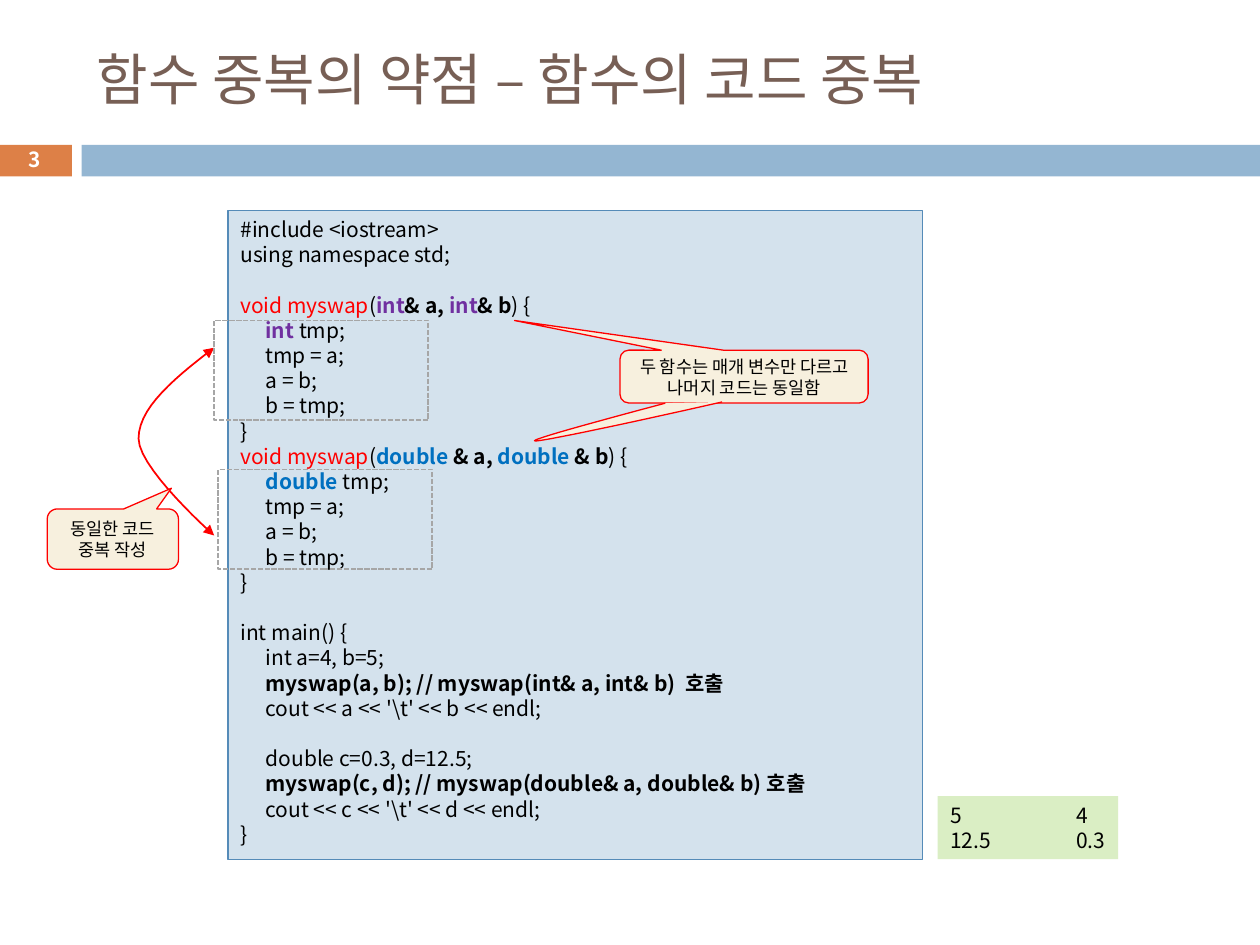
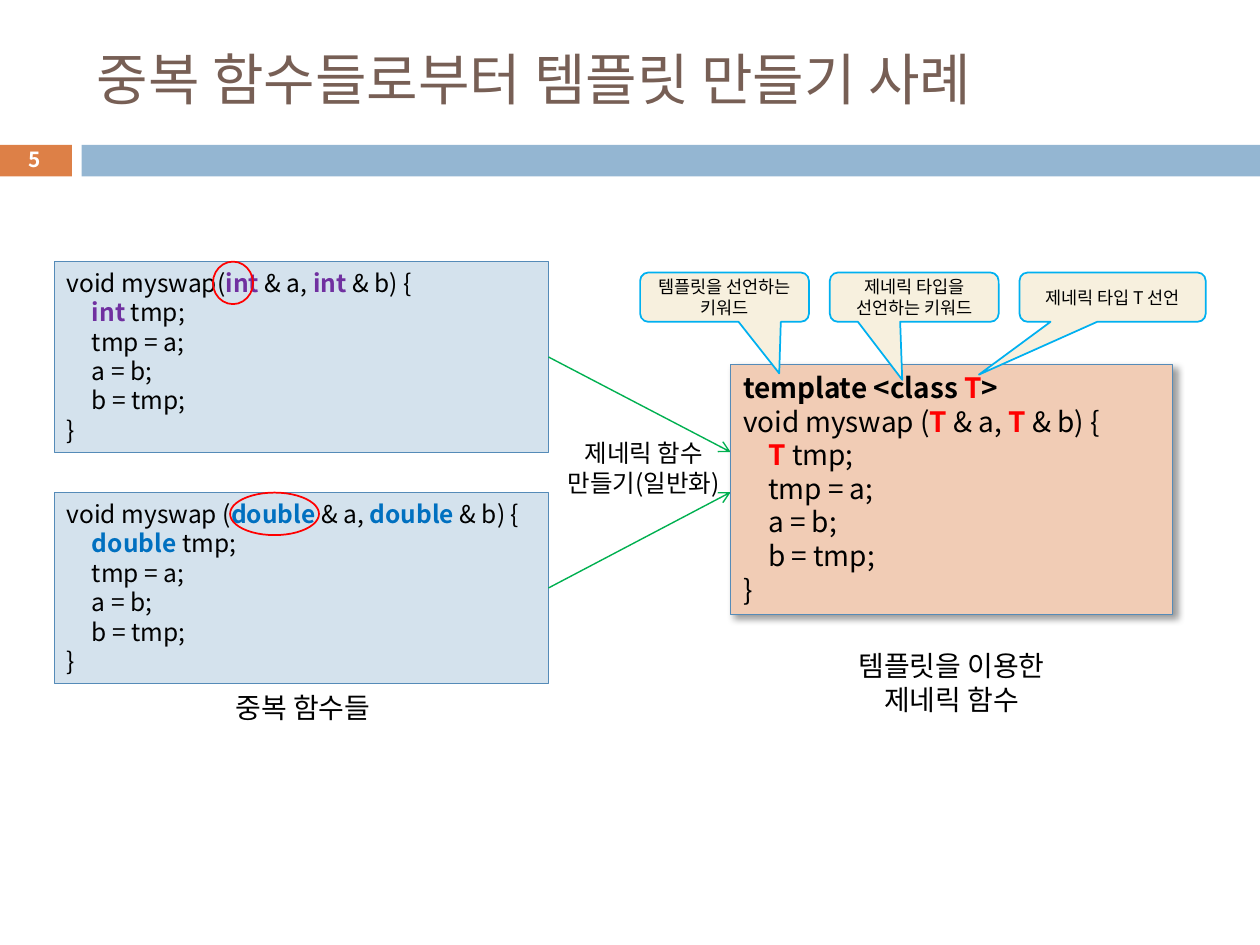
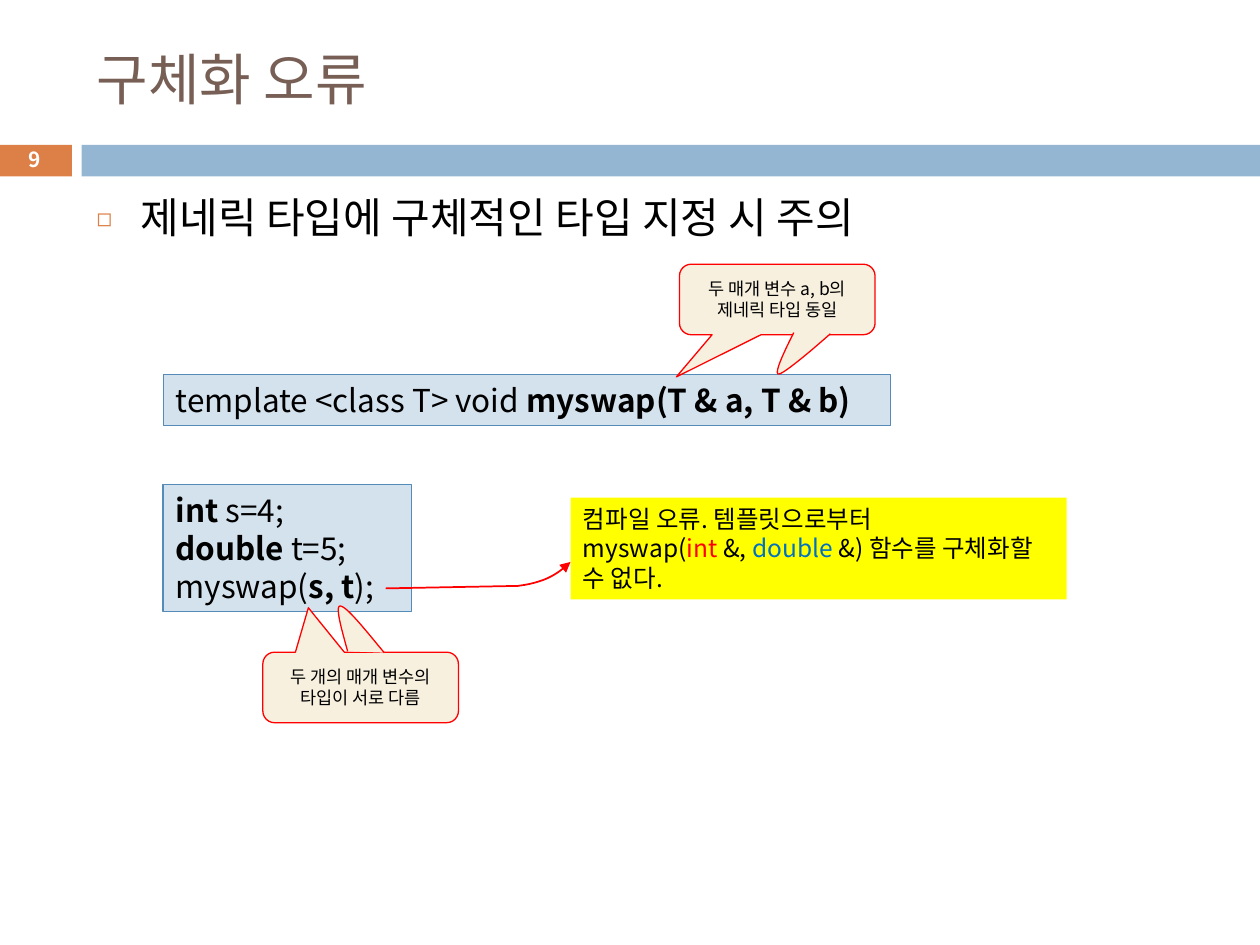
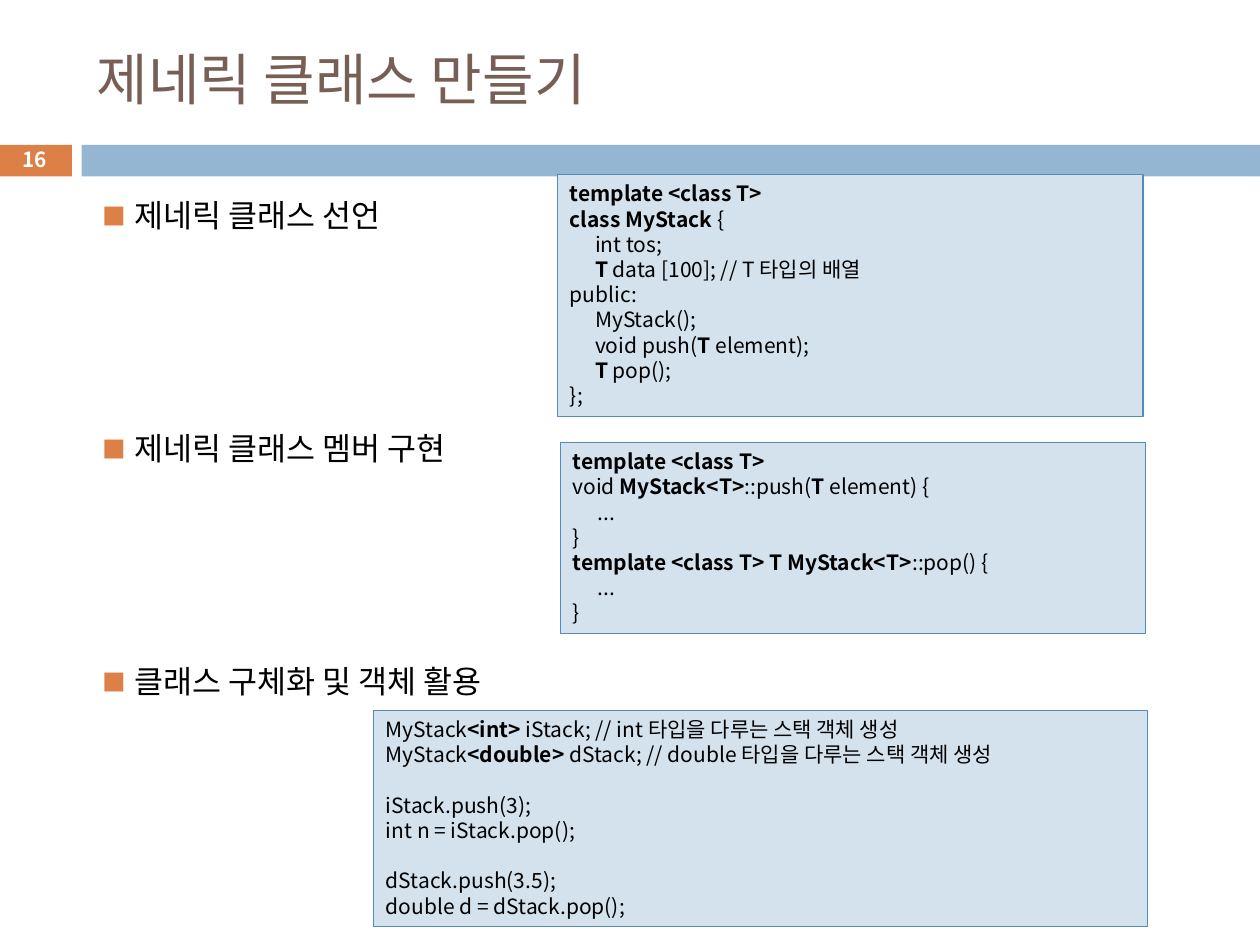
from dataclasses import dataclass, field, replace
from typing import NamedTuple, Optional, Sequence, Union

from lxml import etree
from pptx import Presentation
from pptx.dml.color import RGBColor
from pptx.enum.dml import MSO_LINE
from pptx.enum.shapes import MSO_CONNECTOR, MSO_SHAPE
from pptx.enum.text import MSO_ANCHOR, PP_ALIGN
from pptx.oxml.ns import qn
from pptx.shapes.autoshape import Shape
from pptx.slide import Slide
from pptx.util import Pt

RECTANGLE = MSO_SHAPE.RECTANGLE
ELLIPSE = MSO_SHAPE.OVAL
CALLOUT = MSO_SHAPE.ROUNDED_RECTANGULAR_CALLOUT
STRAIGHT = MSO_CONNECTOR.STRAIGHT
DASHED = MSO_LINE.SQUARE_DOT
LEFT, CENTER = PP_ALIGN.LEFT, PP_ALIGN.CENTER
TOP, MIDDLE = MSO_ANCHOR.TOP, MSO_ANCHOR.MIDDLE
RIGHT_SIDE = 3


def rgb(value: str) -> RGBColor:
    return RGBColor.from_string(value)


@dataclass(frozen=True)
class Theme:
    font: str = "Noto Sans CJK KR"
    line_height: float = 1.2
    text: RGBColor = rgb("000000")
    white: RGBColor = rgb("FFFFFF")
    title: RGBColor = rgb("775F55")
    orange: RGBColor = rgb("DD8047")
    band: RGBColor = rgb("94B6D2")
    code_fill: RGBColor = rgb("D4E2ED")
    code_line: RGBColor = rgb("558BB8")
    template_fill: RGBColor = rgb("F1CCB5")
    callout_fill: RGBColor = rgb("F7F0DE")
    output_fill: RGBColor = rgb("DAEEC4")
    error_fill: RGBColor = rgb("FFFF00")
    red: RGBColor = rgb("FF0000")
    purple: RGBColor = rgb("7030A0")
    blue: RGBColor = rgb("0070C0")
    sky: RGBColor = rgb("00B0F0")
    green: RGBColor = rgb("00B050")
    grey: RGBColor = rgb("A6A6A6")
    title_size: float = 32
    bullet_size: float = 24
    large_size: float = 18
    template_size: float = 16
    medium_size: float = 14
    code_size: float = 12
    number_size: float = 11.9
    callout_size: float = 10


THEME = Theme()


class Box(NamedTuple):
    left: float
    top: float
    width: float
    height: float


class Point(NamedTuple):
    x: float
    y: float


class Run(NamedTuple):
    text: str
    color: Optional[RGBColor] = None
    bold: bool = False


Line = Union[str, Sequence[Union[str, Run]]]


class Bullet(NamedTuple):
    symbol: str
    percent: int
    margin: float
    hanging: float
    space_before: float = 0


@dataclass(frozen=True)
class Style:
    size: float = THEME.code_size
    fill: Optional[RGBColor] = None
    line: Optional[RGBColor] = None
    line_width: float = 0.75
    dash: Optional[MSO_LINE] = None
    color: RGBColor = THEME.text
    bold: bool = False
    align: PP_ALIGN = LEFT
    anchor: MSO_ANCHOR = TOP
    tab: Optional[float] = None
    bullet: Optional[Bullet] = None


@dataclass(frozen=True)
class Panel:
    box: Box
    style: Style
    lines: Sequence[Line] = field(default_factory=tuple)
    kind: Optional[MSO_SHAPE] = RECTANGLE
    adjustments: Sequence[float] = ()


TITLE = Style(THEME.title_size, color=THEME.title, anchor=MIDDLE)
NUMBER = Style(THEME.number_size, color=THEME.white, bold=True,
               align=CENTER, anchor=MIDDLE)
CODE = Style(fill=THEME.code_fill, line=THEME.code_line, tab=14.4)
MEDIUM_CODE = replace(CODE, size=THEME.medium_size)
LARGE_CODE = replace(CODE, size=THEME.large_size)
TEMPLATE_CODE = replace(CODE, size=THEME.template_size, fill=THEME.template_fill)
RED_CALLOUT = Style(THEME.callout_size, THEME.callout_fill, THEME.red,
                    align=CENTER, anchor=MIDDLE)
SKY_CALLOUT = replace(RED_CALLOUT, line=THEME.sky, line_width=1)
CAPTION = Style(THEME.template_size, align=CENTER)
SAME_CODE = Style(line=THEME.grey, line_width=1, dash=DASHED)
RED_RING = Style(line=THEME.red, line_width=1)
RED_ARROW = Style(line=THEME.red, line_width=1)


def bold(text: str, color: Optional[RGBColor] = None) -> Run:
    return Run(text, color, True)


def add_child(parent, tag: str, **attributes: str):
    return etree.SubElement(parent, qn(tag), attributes)


def write_run(paragraph, run: Run, style: Style) -> None:
    piece = paragraph.add_run()
    piece.text = run.text
    font = piece.font
    font.size = Pt(style.size)
    font.bold = run.bold or style.bold
    font.color.rgb = run.color or style.color
    font.name = THEME.font
    add_child(piece._r.get_or_add_rPr(), "a:ea", typeface=THEME.font)


def format_paragraph(paragraph, style: Style) -> None:
    properties = paragraph._p.get_or_add_pPr()
    if style.bullet:
        bullet = style.bullet
        properties.set("marL", str(Pt(bullet.margin)))
        properties.set("indent", str(-Pt(bullet.hanging)))
        color = add_child(properties, "a:buClr")
        add_child(color, "a:srgbClr", val=str(THEME.orange))
        add_child(properties, "a:buSzPct", val=str(bullet.percent * 1000))
        add_child(properties, "a:buFont", typeface=THEME.font)
        add_child(properties, "a:buChar", char=bullet.symbol)
    if style.tab:
        tabs = add_child(properties, "a:tabLst")
        add_child(tabs, "a:tab", pos=str(Pt(style.tab)), algn="l")
    paragraph.alignment = style.align
    paragraph.line_spacing = Pt(style.size * THEME.line_height)


def write_lines(shape: Shape, lines: Sequence[Line], style: Style) -> None:
    """Write one paragraph a line; an empty line becomes space before the next."""
    frame = shape.text_frame
    frame.word_wrap = True
    frame.vertical_anchor = style.anchor
    paragraph = frame.paragraphs[0]
    gap = 0.0
    for index, line in enumerate(lines):
        if not line:
            gap += style.size * THEME.line_height
            continue
        if index:
            paragraph = frame.add_paragraph()
            gap += style.bullet.space_before if style.bullet else 0
        format_paragraph(paragraph, style)
        if gap:
            paragraph.space_before = Pt(gap)
        gap = 0.0
        for run in ([line] if isinstance(line, str) else line):
            write_run(paragraph, Run(run) if isinstance(run, str) else run, style)


def paint(shape: Shape, style: Style) -> None:
    shape.shadow.inherit = False
    if style.fill is None:
        shape.fill.background()
    else:
        shape.fill.solid()
        shape.fill.fore_color.rgb = style.fill
    if style.line is None:
        shape.line.fill.background()
        return
    shape.line.color.rgb = style.line
    shape.line.width = Pt(style.line_width)
    if style.dash is not None:
        shape.line.dash_style = style.dash


def add_panel(slide: Slide, panel: Panel) -> Shape:
    box = [Pt(length) for length in panel.box]
    if panel.kind is None:
        shape = slide.shapes.add_textbox(*box)
    else:
        shape = slide.shapes.add_shape(panel.kind, *box)
    for index, value in enumerate(panel.adjustments):
        shape.adjustments[index] = value
    paint(shape, panel.style)
    if panel.lines:
        write_lines(shape, panel.lines, panel.style)
    return shape


def add_text(slide: Slide, box: Box, style: Style, *lines: Line) -> Shape:
    return add_panel(slide, Panel(box, style, lines, kind=None))


def add_callout(slide: Slide, box: Box, style: Style, tip: Point, *lines: Line) -> Shape:
    """Draw a callout whose tip is an offset from its centre, in box sizes."""
    return add_panel(slide, Panel(box, style, lines, CALLOUT, (*tip, 0.167)))


def curve(*points: tuple[float, float], steps: int = 14) -> list[Point]:
    """Sample joined cubic curves: a start, then three points for each curve."""
    result = [Point(*points[0])]
    for start in range(0, len(points) - 1, 3):
        section = points[start:start + 4]
        for step in range(1, steps + 1):
            t = step / steps
            weights = ((1 - t) ** 3, 3 * t * (1 - t) ** 2, 3 * t * t * (1 - t), t ** 3)
            result.append(Point(
                sum(weight * point[0] for weight, point in zip(weights, section)),
                sum(weight * point[1] for weight, point in zip(weights, section))))
    return result


def add_outline(slide: Slide, points: Sequence[Point], style: Style,
                arrow_ends: Sequence[str] = ()) -> None:
    places = [(Pt(point.x), Pt(point.y)) for point in points]
    builder = slide.shapes.build_freeform(*places[0])
    builder.add_line_segments(places[1:], close=False)
    shape = builder.convert_to_shape()
    paint(shape, style)
    for end in arrow_ends:
        add_child(shape.line._get_or_add_ln(), end, type="triangle")


def add_arrow(slide: Slide, source: Shape, end: Point) -> None:
    """Draw an arrow from the right side of a shape."""
    connector = slide.shapes.add_connector(STRAIGHT, 0, 0, Pt(end.x), Pt(end.y))
    connector.begin_connect(source, RIGHT_SIDE)
    connector.line.color.rgb = THEME.green
    connector.line.width = Pt(0.79)
    add_child(connector.line._get_or_add_ln(), "a:tailEnd", type="arrow")
    add_child(connector._element.spPr, "a:effectLst")


def add_soft_shadow(shape: Shape) -> None:
    effects = shape._element.spPr.find(qn("a:effectLst"))
    shadow = add_child(effects, "a:outerShdw", blurRad=str(Pt(4)), dist=str(Pt(3)),
                       dir=str(45 * 60000), algn="tl", rotWithShape="0")
    color = add_child(shadow, "a:srgbClr", val=str(THEME.text))
    add_child(color, "a:alpha", val="40000")


def start_slide(presentation, title: str, number: int) -> Slide:
    """Add a slide with its bands, title and number."""
    slide = presentation.slides.add_slide(presentation.slide_layouts[6])
    add_panel(slide, Panel(Box(0, 82.8, 41.1, 18), Style(fill=THEME.orange)))
    add_panel(slide, Panel(Box(46.6, 82.8, 673.4, 18), Style(fill=THEME.band)))
    add_text(slide, Box(48.2, 18, 642.2, 53.3), TITLE, title)
    add_text(slide, Box(0, 81.4, 40, 19.4), NUMBER, str(number))
    return slide


def swap_body(type_name: str, color: RGBColor) -> list[Line]:
    return [("\t", bold(f"{type_name} ", color), "tmp;"),
            "\ttmp = a;", "\ta = b;", "\tb = tmp;", "}"]


def swap_overload(type_name: str, color: RGBColor, space: str) -> list[Line]:
    """List a coloured overload, with space between its types and ampersands."""
    kind = bold(f"{type_name}{space}", color)
    return [(Run("void myswap", THEME.red), "(", kind, bold("& a, "),
             kind, bold("& b"), ") {"), *swap_body(type_name, color)]


def build_duplicate_code(presentation) -> None:
    slide = start_slide(presentation, "함수 중복의 약점 – 함수의 코드 중복", 3)
    add_panel(slide, Panel(Box(130.3, 120.2, 396.7, 370.8), CODE, [
        "#include <iostream>",
        "using namespace std;",
        "",
        *swap_overload("int", THEME.purple, ""),
        *swap_overload("double", THEME.blue, " "),
        "",
        "int main() {",
        "\tint a=4, b=5;",
        ("\t", bold("myswap(a, b); // myswap(int& a, int& b)  호출")),
        "\tcout << a << '\\t' << b << endl;",
        "",
        "\tdouble c=0.3, d=12.5;",
        ("\t", bold("myswap(c, d); // myswap(double& a, double& b) 호출")),
        "\tcout << c << '\\t' << d << endl;",
        "}",
    ]))
    add_callout(slide, Box(354.3, 200.1, 141.8, 30.2), RED_CALLOUT, Point(-0.925, -1.062),
                "두 함수는 매개 변수만 다르고 나머지 코드는 동일함")
    add_outline(slide, curve(
        (380.2, 230.4), (339.8, 241.2), (300.2, 252), (306, 252),
        (311, 252), (362.2, 241.2), (412.6, 229.7)), RED_CALLOUT)
    add_outline(slide, curve(
        (122.4, 198.7), (100.8, 215.3), (79.2, 232.6), (79.2, 250.6),
        (79.2, 267.8), (122.4, 306), (122.4, 306)),
        RED_ARROW, ("a:headEnd", "a:tailEnd"))
    add_callout(slide, Box(27, 290.8, 75, 34.5), RED_CALLOUT, Point(0.446, -0.843),
                "동일한 코드 중복 작성")
    for left, top in ((122.3, 183.1), (124.7, 268.2)):
        add_panel(slide, Panel(Box(left, top, 122.4, 57), SAME_CODE))
    add_panel(slide, Panel(Box(535.8, 455, 103.2, 36), Style(fill=THEME.output_fill, tab=72),
                           ["5\t4", "12.5\t0.3"]))


def build_template_example(presentation) -> None:
    slide = start_slide(presentation, "중복 함수들로부터 템플릿 만들기 사례", 5)
    overloads = []
    for top, opening, type_name, color in (
            (281.5, "void myswap (", "double", THEME.blue),
            (149.5, "void myswap(", "int", THEME.purple)):
        kind = bold(type_name, color)
        lines = [(opening, kind, " & a, ", kind, " & b) {"), *swap_body(type_name, color)]
        overloads.append(add_panel(
            slide, Panel(Box(31, top, 282.4, 109), MEDIUM_CODE, lines)))
    for source, end_y in zip(overloads, (281.3, 258.3)):
        add_arrow(slide, source, Point(417.5, end_y))

    generic = bold("T ", THEME.red)
    template = add_panel(slide, Panel(Box(417.5, 208.2, 252.7, 143), TEMPLATE_CODE, [
        (bold("template <class "), bold("T", THEME.red), bold(">")),
        ("void myswap (", generic, "& a, ", generic, "& b) {"),
        *swap_body("T", THEME.red),
    ]))
    add_soft_shadow(template)
    add_text(slide, Box(477.2, 367.2, 133.2, 46), CAPTION, "템플릿을 이용한", "제네릭 함수")
    add_text(slide, Box(122.8, 391, 100.8, 26.6), CAPTION, "중복 함수들")
    add_text(slide, Box(313.9, 247, 108, 41), replace(CAPTION, size=THEME.medium_size),
             "제네릭 함수", "만들기(일반화)")

    callouts = (
        (96.5, Point(0.324, 1.544), ["템플릿을 선언하는 키워드"]),
        (96.5, Point(-0.071, 1.674), ["제네릭 타입을", "선언하는 키워드"]),
        (106.4, Point(-0.718, 1.57), ["제네릭 타입 T 선언"]),
    )
    for index, (width, tip, lines) in enumerate(callouts):
        add_callout(slide, Box(365.8 + 108.4 * index, 155.7, width, 28.2),
                    SKY_CALLOUT, tip, *lines)
    for ring in (Box(121.7, 149.5, 22.9, 24.3), Box(131.5, 281.5, 50.8, 24.3)):
        add_panel(slide, Panel(ring, RED_RING, kind=ELLIPSE))


def build_instantiation_error(presentation) -> None:
    slide = start_slide(presentation, "구체화 오류", 9)
    add_text(slide, Box(48.2, 105.8, 642.2, 396.7),
             Style(THEME.bullet_size, bullet=Bullet("◻", 60, 25.2, 25.2)),
             "제네릭 타입에 구체적인 타입 지정 시 주의")
    add_panel(slide, Panel(Box(93.4, 213.9, 415.6, 29.1), LARGE_CODE, [
        ("template <class T> void ", bold("myswap(T & a, T & b)"))]))
    add_panel(slide, Panel(Box(93.2, 277, 142, 72.5), LARGE_CODE, [
        (bold("int"), " s=4;"),
        (bold("double"), " t=5;"),
        ("myswap(", bold("s, t"), ");"),
    ]))
    add_panel(slide, Panel(
        Box(326, 284.4, 283.5, 58.2), Style(THEME.medium_size, THEME.error_fill), [
            "컴파일 오류. 템플릿으로부터",
            ("myswap(", Run("int ", THEME.red), "&, ", Run("double", THEME.blue),
             " &) 함수를 구체화할 수 없다."),
        ]))
    add_callout(slide, Box(388.3, 151, 111.8, 40.3), RED_CALLOUT, Point(-0.516, 1.098),
                "두 매개 변수 a, b의 제네릭 타입 동일")
    add_callout(slide, Box(150.2, 372.7, 111.8, 40.3), RED_CALLOUT, Point(-0.267, -1.13),
                "두 개의 매개 변수의 타입이 서로 다름")
    add_outline(slide, curve(
        (453.6, 190.1), (447.8, 201.6), (442.1, 213.8), (445, 213.8),
        (448.6, 213.8), (474.5, 190.8), (474.5, 190.8)), RED_CALLOUT)
    add_outline(slide, curve(
        (198.7, 372.2), (195.1, 359.3), (191.5, 346.3), (194.4, 346.3),
        (198, 346.3), (208.8, 360), (219.6, 373)), RED_CALLOUT)
    add_outline(slide, [Point(220.3, 336.2), *curve(
        (295.9, 334.8), (313.2, 332.6), (319.7, 326.9), (326, 321.1))],
        RED_ARROW, ("a:tailEnd",))


def build_generic_class(presentation) -> None:
    slide = start_slide(presentation, "제네릭 클래스 만들기", 16)
    add_text(slide, Box(0, 108.7, 640, 396.7),
             Style(THEME.large_size, bullet=Bullet("■", 75, 69.8, 18, 111.4)),
             "제네릭 클래스 선언", "제네릭 클래스 멤버 구현", "클래스 구체화 및 객체 활용")
    generic = bold("T")
    template = bold("template <class T>")
    code_panels = (
        (Box(318.6, 99.9, 334.6, 138.2), [
            [template],
            (bold("class MyStack "), "{"),
            "\tint tos;",
            ("\t", generic, " data [100]; // T 타입의 배열"),
            "public:",
            "\tMyStack();",
            ("\tvoid push(", generic, " element);"),
            ("\t", generic, " pop();"),
            "};",
        ]),
        (Box(320.2, 252.9, 334.6, 109), [
            [template],
            ("void ", bold("MyStack<T>"), "::push(", generic, " element) {"),
            "\t...",
            "}",
            (template, bold(" T MyStack<T>"), "::pop() {"),
            "\t...",
            "}",
        ]),
        (Box(213.5, 406, 442.2, 123.5), [
            ("MyStack", bold("<int> "), "iStack; // int 타입을 다루는 스택 객체 생성"),
            ("MyStack", bold("<double> "), "dStack; // double 타입을 다루는 스택 객체 생성"),
            "",
            "iStack.push(3);",
            "int n = iStack.pop();",
            "",
            "dStack.push(3.5);",
            "double d = dStack.pop();",
        ]),
    )
    for box, lines in code_panels:
        add_panel(slide, Panel(box, CODE, lines))


def main() -> None:
    presentation = Presentation()
    presentation.slide_width = Pt(720)
    presentation.slide_height = Pt(540)
    build_duplicate_code(presentation)
    build_template_example(presentation)
    build_instantiation_error(presentation)
    build_generic_class(presentation)
    presentation.save("out.pptx")


if __name__ == "__main__":
    main()
